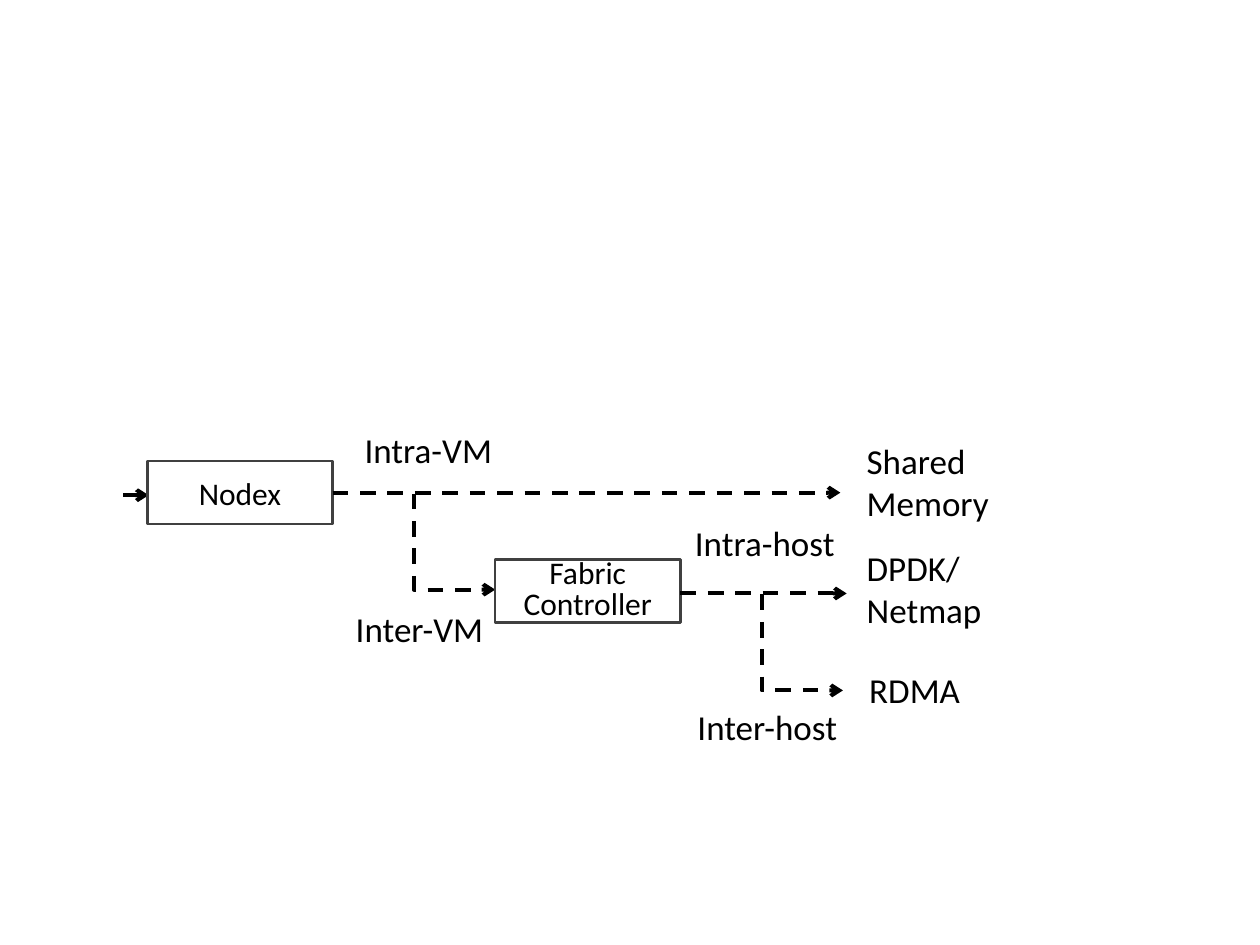
import lxml.etree
import pptx
import pptx.dml.color
import pptx.enum.dml
import pptx.enum.shapes
import pptx.enum.text
import pptx.oxml.ns
import pptx.util

Inches = pptx.util.Inches
Pt = pptx.util.Pt
ALIGN = pptx.enum.text.PP_ALIGN
LINK = pptx.enum.shapes.MSO_CONNECTOR
BLACK = pptx.dml.color.RGBColor(0x00, 0x00, 0x00)
GREY = pptx.dml.color.RGBColor(0x40, 0x40, 0x40)
WHITE = pptx.dml.color.RGBColor(0xFF, 0xFF, 0xFF)

BOX_W, BOX_H = 1.47, 0.5
BRANCH_W, BRANCH_H = 1.29, 0.77
LABEL_W, LINE_H = 2.54, 0.44


def set_attrs(obj, values):
    """Set each named attribute of an object."""
    for name, value in values.items():
        setattr(obj, name, value)


def write(sp, text, size, align, spacing=None):
    """Put one formatted paragraph into a shape."""
    sp.text_frame.word_wrap = True
    p = sp.text_frame.paragraphs[0]
    set_attrs(p, {"alignment": align, "line_spacing": spacing})
    r = p.add_run()
    r.text = text
    set_attrs(r.font, {"size": Pt(size), "name": "Calibri"})
    r.font.color.rgb = BLACK


def add_label(s, text, box, align=ALIGN.LEFT):
    """Add a text label in the given box."""
    sp = s.shapes.add_textbox(*map(Inches, box))
    write(sp, text, 20, align)
    sp.text_frame.auto_size = pptx.enum.text.MSO_AUTO_SIZE.SHAPE_TO_FIT_TEXT


def add_arrow(s, kind, start, end):
    """Add a dashed connector with an open arrowhead at its end."""
    sp = s.shapes.add_connector(kind, *map(Inches, start + end))
    sp.line.color.rgb = BLACK
    set_attrs(sp.line, {"width": Pt(2.25),
                        "dash_style": pptx.enum.dml.MSO_LINE.DASH})
    qn = pptx.oxml.ns.qn
    lxml.etree.SubElement(sp.line._get_or_add_ln(), qn("a:tailEnd"), type="arrow")
    lxml.etree.SubElement(sp._element.spPr, qn("a:effectLst"))


def add_node(s, text, box, spacing):
    """Add an outlined process box."""
    rect = pptx.enum.shapes.MSO_SHAPE.RECTANGLE
    sp = s.shapes.add_shape(rect, *map(Inches, box))
    sp.shadow.inherit = False
    sp.fill.solid()
    sp.fill.fore_color.rgb = WHITE
    sp.line.color.rgb = GREY
    sp.line.width = Pt(1.5)
    sp.text_frame.vertical_anchor = pptx.enum.text.MSO_ANCHOR.MIDDLE
    write(sp, text, 18, ALIGN.CENTER, spacing)


def add_stage(s, box, name, scope, label_x, rise, spacing=None):
    """Add a node with a straight intra arrow and a bent inter arrow."""
    left, top, width, axis = box
    out = left + BOX_W
    y = top + axis
    add_node(s, name, (left, top, BOX_W, BOX_H), spacing)
    add_arrow(s, LINK.ELBOW, (out, y), (out + BRANCH_W, y + BRANCH_H))
    add_arrow(s, LINK.STRAIGHT, (out, y), (left + width, y))
    for prefix, x, dy in (("Intra", label_x, -rise), ("Inter", left + 0.89, 1.11)):
        add_label(s, f"{prefix}-{scope}", (x, top + dy, LABEL_W, LINE_H),
                  ALIGN.CENTER)


def add_targets(s, left):
    """Add the column of transport names."""
    for text, dx, top, width, lines in (("Shared Memory", 0, 3.44, 1.41, 2),
                                        ("DPDK/Netmap", 0, 4.29, 1.81, 2),
                                        ("RDMA", 0.02, 5.26, 0.98, 1)):
        height = LINE_H + (lines - 1) * 0.33
        add_label(s, text, (left + dx, top, width, height))


def main():
    """Build the slide and save it."""
    prs = pptx.Presentation()
    set_attrs(prs, {"slide_width": Inches(10), "slide_height": Inches(7.5)})
    s = prs.slides.add_slide(prs.slide_layouts[6])
    add_arrow(s, LINK.STRAIGHT, (0.98, 3.93), (1.18, 3.93))
    add_stage(s, (1.17, 3.66, 5.5, 0.25), "Nodex", "VM", 2.13, 0.31)
    add_stage(s, (3.93, 4.44, 2.79, 0.27), "Fabric Controller", "host",
              4.8, 0.35, 0.8)
    add_targets(s, 6.78)
    prs.save("out.pptx")


if __name__ == "__main__":
    main()
